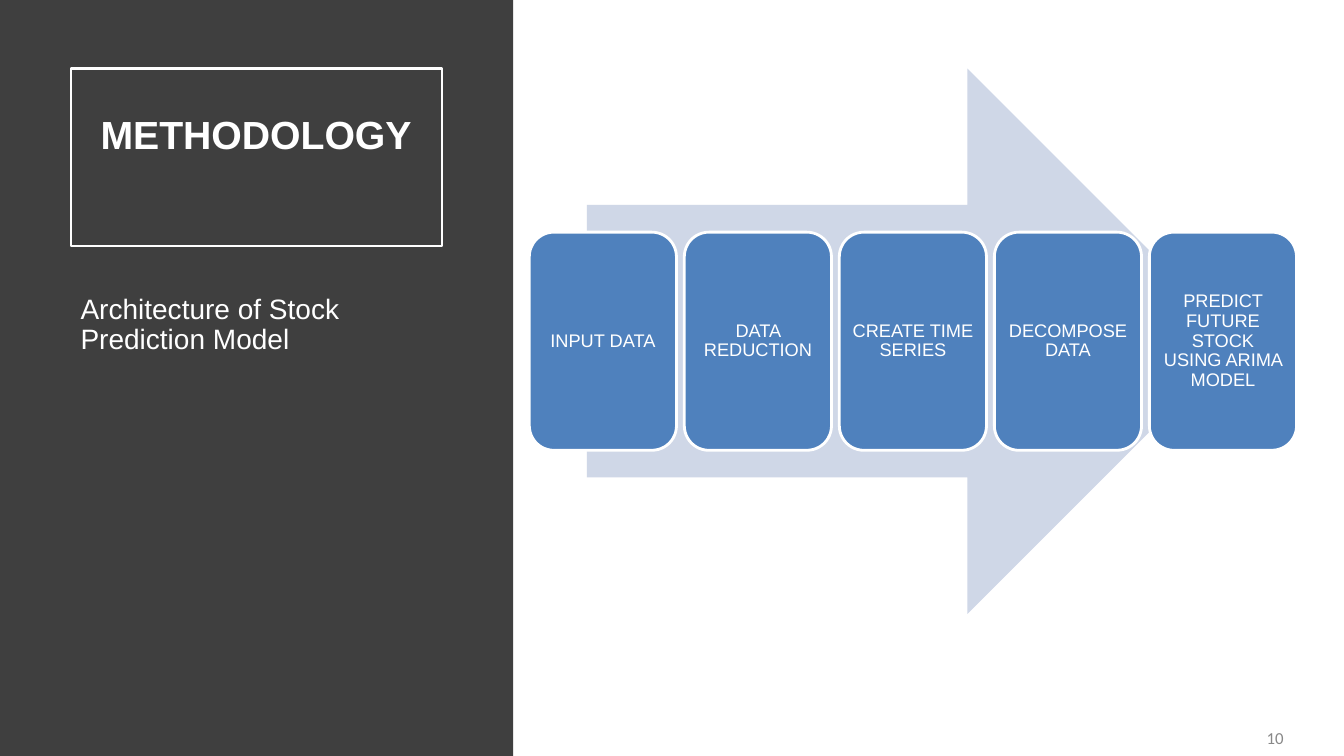
from dataclasses import dataclass

from pptx import Presentation
from pptx.dml.color import RGBColor
from pptx.enum.shapes import MSO_SHAPE
from pptx.enum.text import MSO_ANCHOR, PP_ALIGN
from pptx.util import Inches, Pt

TITLE = "METHODOLOGY"
SUBTITLE = "Architecture of Stock Prediction Model"
STEPS = [
    "INPUT\u00a0DATA".replace("\u00a0", " "),
    "DATA REDUCTION",
    "CREATE TIME SERIES",
    "DECOMPOSE DATA",
    "PREDICT FUTURE STOCK USING ARIMA MODEL",
]
PAGE_NUMBER = "10"


@dataclass(frozen=True)
class Theme:
    panel: str = "3F3F3F"
    arrow: str = "CFD7E7"
    step: str = "4F81BD"
    light: str = "FFFFFF"
    muted: str = "888888"
    font: str = "Arial"
    number_font: str = "Calibri"
    title_size: float = 28
    subtitle_size: float = 20
    step_size: float = 13
    number_size: float = 12


THEME = Theme()
SLIDE_WIDTH, SLIDE_HEIGHT = 13.33, 7.5
PANEL_WIDTH = 5.09
COLUMN_LEFT, COLUMN_WIDTH = 0.7, 3.68
TOP = 0.68
ARROW_LEFT, ARROW_WIDTH, ARROW_HEIGHT = 5.82, 6.48, 5.41
STEP_LEFT, STEP_WIDTH, STEP_PITCH = 5.25, 1.46, 1.5375
STEP_HEIGHT = 0.4 * ARROW_HEIGHT
STEP_TOP = TOP + (ARROW_HEIGHT - STEP_HEIGHT) / 2


def color(value):
    return RGBColor.from_string(value)


def write(shape, text, size, ink=THEME.light, font=THEME.font, bold=False,
          align=PP_ALIGN.CENTER, anchor=MSO_ANCHOR.MIDDLE,
          margins=(0.1, 0.05, 0.1, 0.05), spacing=0.9):
    frame = shape.text_frame
    frame.word_wrap = True
    frame.vertical_anchor = anchor
    (frame.margin_left, frame.margin_top,
     frame.margin_right, frame.margin_bottom) = map(Inches, margins)
    paragraph = frame.paragraphs[0]
    paragraph.alignment = align
    paragraph.line_spacing = spacing
    paragraph.space_before = Pt(0)
    run = paragraph.add_run()
    run.text = text
    run.font.name = font
    run.font.size = Pt(size)
    run.font.bold = bold
    run.font.color.rgb = color(ink)


def add_block(slide, preset, box, fill, outline=None):
    shape = slide.shapes.add_shape(preset, *map(Inches, box))
    shape.shadow.inherit = False
    shape.fill.solid()
    shape.fill.fore_color.rgb = color(fill)
    if outline:
        shape.line.color.rgb = color(outline)
        shape.line.width = Pt(2)
    else:
        shape.line.fill.background()
    return shape


def add_title(slide):
    title = slide.shapes.title
    title.left, title.top, title.width, title.height = map(
        Inches, (COLUMN_LEFT, TOP, COLUMN_WIDTH, 1.76))
    title.line.color.rgb = color(THEME.light)
    title.line.width = Pt(1.5)
    write(title, TITLE, THEME.title_size, bold=True,
          margins=(0.1, 0.05, 0.1, 0.45))
    return title


def add_process(slide):
    add_block(slide, MSO_SHAPE.RIGHT_ARROW,
              (ARROW_LEFT, TOP, ARROW_WIDTH, ARROW_HEIGHT), THEME.arrow)
    for index, text in enumerate(STEPS):
        left = STEP_LEFT + index * STEP_PITCH
        step = add_block(slide, MSO_SHAPE.ROUNDED_RECTANGLE,
                         (left, STEP_TOP, STEP_WIDTH, STEP_HEIGHT),
                         THEME.step, THEME.light)
        write(step, text, THEME.step_size, margins=(0.05,) * 4)


def main():
    presentation = Presentation()
    presentation.slide_width = Inches(SLIDE_WIDTH)
    presentation.slide_height = Inches(SLIDE_HEIGHT)
    slide = presentation.slides.add_slide(presentation.slide_layouts[5])

    title = add_title(slide)
    panel = add_block(slide, MSO_SHAPE.RECTANGLE,
                      (0, 0, PANEL_WIDTH, SLIDE_HEIGHT), THEME.panel)
    title.element.addprevious(panel.element)

    subtitle = slide.shapes.add_textbox(
        *map(Inches, (COLUMN_LEFT, 2.88, COLUMN_WIDTH, 3.74)))
    write(subtitle, SUBTITLE, THEME.subtitle_size,
          align=PP_ALIGN.LEFT, anchor=MSO_ANCHOR.TOP)

    add_process(slide)

    number = slide.shapes.add_textbox(*map(Inches, (9.72, 7.12, 3.11, 0.4)))
    write(number, PAGE_NUMBER, THEME.number_size, THEME.muted,
          THEME.number_font, align=PP_ALIGN.RIGHT, spacing=1.0)

    presentation.save("out.pptx")


if __name__ == "__main__":
    main()
